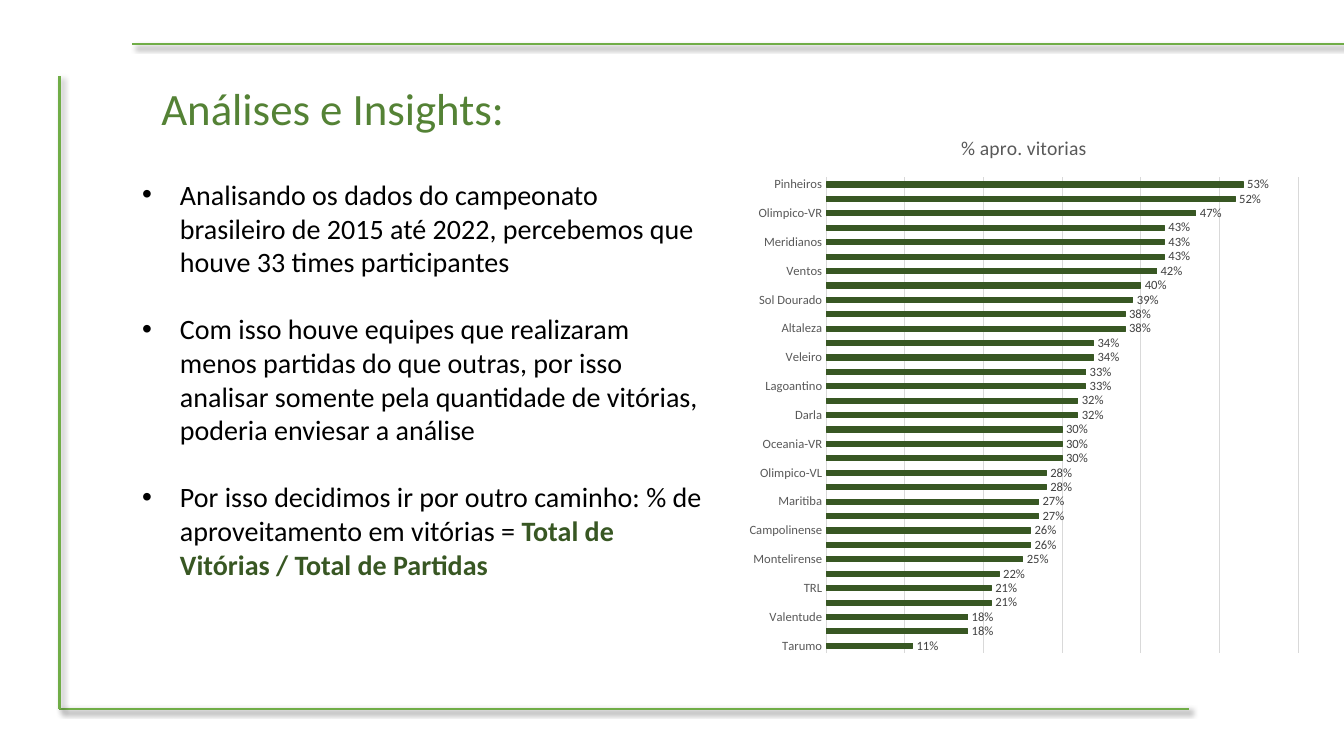
import pptx
import pptx.chart.data
import pptx.dml.color
import pptx.enum.chart
import pptx.enum.shapes
import pptx.enum.text
import pptx.oxml
import pptx.oxml.ns
import pptx.util

Inches, Pt = pptx.util.Inches, pptx.util.Pt
FONT = "Calibri"
COLORS = {"title": "548235", "text": "000000", "dark": "385723", "rule": "70AD47",
          "grid": "D9D9D9", "axis": "595959", "label": "404040"}

# Content: each paragraph is a list of (text, is_key) runs
TITLE = [[("Análises e Insights:", False)]]
BULLETS = [
    [("Analisando os dados do campeonato brasileiro de 2015 até 2022, "
      "percebemos que houve 33 times participantes", False)],
    [("Com isso houve equipes que realizaram menos partidas do que outras, por isso "
      "analisar somente pela quantidade de vitórias, poderia enviesar a análise", False)],
    [("Por isso decidimos ir por outro caminho: % de aproveitamento em vitórias = ", False),
     ("Total de Vitórias / Total de Partidas", True)],
]
CHART_TITLE = "% apro. vitorias"
WIN_RATES = {
    "Tarumo": 0.11, "Jandaville": 0.18, "Valentude": 0.18, "Serra Bela": 0.21,
    "TRL": 0.21, "Orai": 0.22, "Montelirense": 0.25, "Caruba": 0.26,
    "Campolinense": 0.26, "Moara": 0.27, "Maritiba": 0.27, "Belmira": 0.28,
    "Olimpico-VL": 0.28, "Norte": 0.3, "Oceania-VR": 0.3, "Lumas": 0.3,
    "Darla": 0.32, "Vigor": 0.32, "Lagoantino": 0.33, "Pedra Clara": 0.33,
    "Veleiro": 0.34, "Farolete-LM": 0.34, "Altaleza": 0.38, "Ribeirense": 0.38,
    "Sol Dourado": 0.39, "Olimpico-SR": 0.4, "Ventos": 0.42, "Continental": 0.43,
    "Meridianos": 0.43, "Trovao": 0.43, "Olimpico-VR": 0.47, "Marambo": 0.52,
    "Pinheiros": 0.53,
}

# Frame rules: (x1, y1, x2, y2)
WIDTH, HEIGHT = 13.33, 7.5
LEFT, BOTTOM = 0.59, 7.03
RULES = [(LEFT, BOTTOM, 11.79, BOTTOM), (LEFT, BOTTOM, LEFT, 0.75), (1.31, 0.44, WIDTH, 0.44)]
SHADOW = (
    '<a:effectLst %s><a:outerShdw blurRad="50800" dist="38100" dir="2700000" algn="tl" '
    'rotWithShape="0"><a:srgbClr val="000000"><a:alpha val="40000"/></a:srgbClr>'
    '</a:outerShdw></a:effectLst>' % pptx.oxml.ns.nsdecls("a"))


def rgb(name):
    return pptx.dml.color.RGBColor.from_string(COLORS[name])


def set_font(font, size, color, bold=False):
    font.name, font.size, font.bold = FONT, Pt(size), bold
    font.color.rgb = rgb(color)


def set_line(line, color, width=0.75):
    line.color.rgb = rgb(color)
    line.width = Pt(width)


def write_text(sp, paragraphs, box, size, color="text", gap=0):
    sp.left, sp.top, sp.width, sp.height = map(Inches, box)
    tf = sp.text_frame
    tf.word_wrap = True
    tf.auto_size = pptx.enum.text.MSO_AUTO_SIZE.NONE
    tf.vertical_anchor = pptx.enum.text.MSO_ANCHOR.TOP
    for i, runs in enumerate(paragraphs):
        p = tf.add_paragraph() if i else tf.paragraphs[0]
        p.alignment = pptx.enum.text.PP_ALIGN.LEFT
        p.space_before = Pt(gap if i else 0)
        for text, is_key in runs:
            r = p.add_run()
            r.text = text
            set_font(r.font, size, "dark" if is_key else color, is_key)


def add_rules(s):
    for ends in RULES:
        rule = s.shapes.add_connector(
            pptx.enum.shapes.MSO_CONNECTOR.STRAIGHT, *map(Inches, ends))
        set_line(rule.line, "rule", 1.5)
        rule._element.spPr.append(pptx.oxml.parse_xml(SHADOW))


def add_win_chart(s):
    data = pptx.chart.data.CategoryChartData(number_format="0%")
    data.categories = list(WIN_RATES)
    data.add_series(CHART_TITLE, list(WIN_RATES.values()))
    chart = s.shapes.add_chart(
        pptx.enum.chart.XL_CHART_TYPE.BAR_CLUSTERED,
        *map(Inches, (7.32, 1.13, 5.67, 5.46)), data).chart
    set_font(chart.font, 10, "text")
    chart.has_legend = False
    chart.has_title = True
    p = chart.chart_title.text_frame.paragraphs[0]
    r = p.add_run()
    r.text = CHART_TITLE
    set_font(r.font, 14, "axis")

    # Axes
    clubs, rates = chart.category_axis, chart.value_axis
    clubs.major_tick_mark = pptx.enum.chart.XL_TICK_MARK.NONE
    set_font(clubs.tick_labels.font, 9, "axis")
    set_line(clubs.format.line, "grid")
    rates.visible = False
    rates.minimum_scale, rates.maximum_scale, rates.major_unit = 0, 0.6, 0.1
    set_line(rates.major_gridlines.format.line, "grid")

    # Bars and their labels
    plot = chart.plots[0]
    plot.gap_width = 182
    plot.vary_by_categories = False
    bars = plot.series[0]
    bars.format.fill.solid()
    bars.format.fill.fore_color.rgb = rgb("dark")
    set_line(bars.format.line, "dark")
    labels = bars.data_labels
    labels.show_value = True
    labels.position = pptx.enum.chart.XL_LABEL_POSITION.OUTSIDE_END
    labels.number_format, labels.number_format_is_linked = "0%", False
    set_font(labels.font, 9, "label")


def main():
    prs = pptx.Presentation()
    prs.slide_width, prs.slide_height = Inches(WIDTH), Inches(HEIGHT)
    s = prs.slides.add_slide(prs.slide_layouts[1])
    write_text(s.shapes.title, TITLE, (1.5, 0.75, 3.92, 0.64), 32, "title")
    add_rules(s)
    add_win_chart(s)
    write_text(s.placeholders[1], BULLETS, (1.31, 1.71, 5.8, 4.14), 20, gap=24)
    prs.save("out.pptx")


if __name__ == "__main__":
    main()
